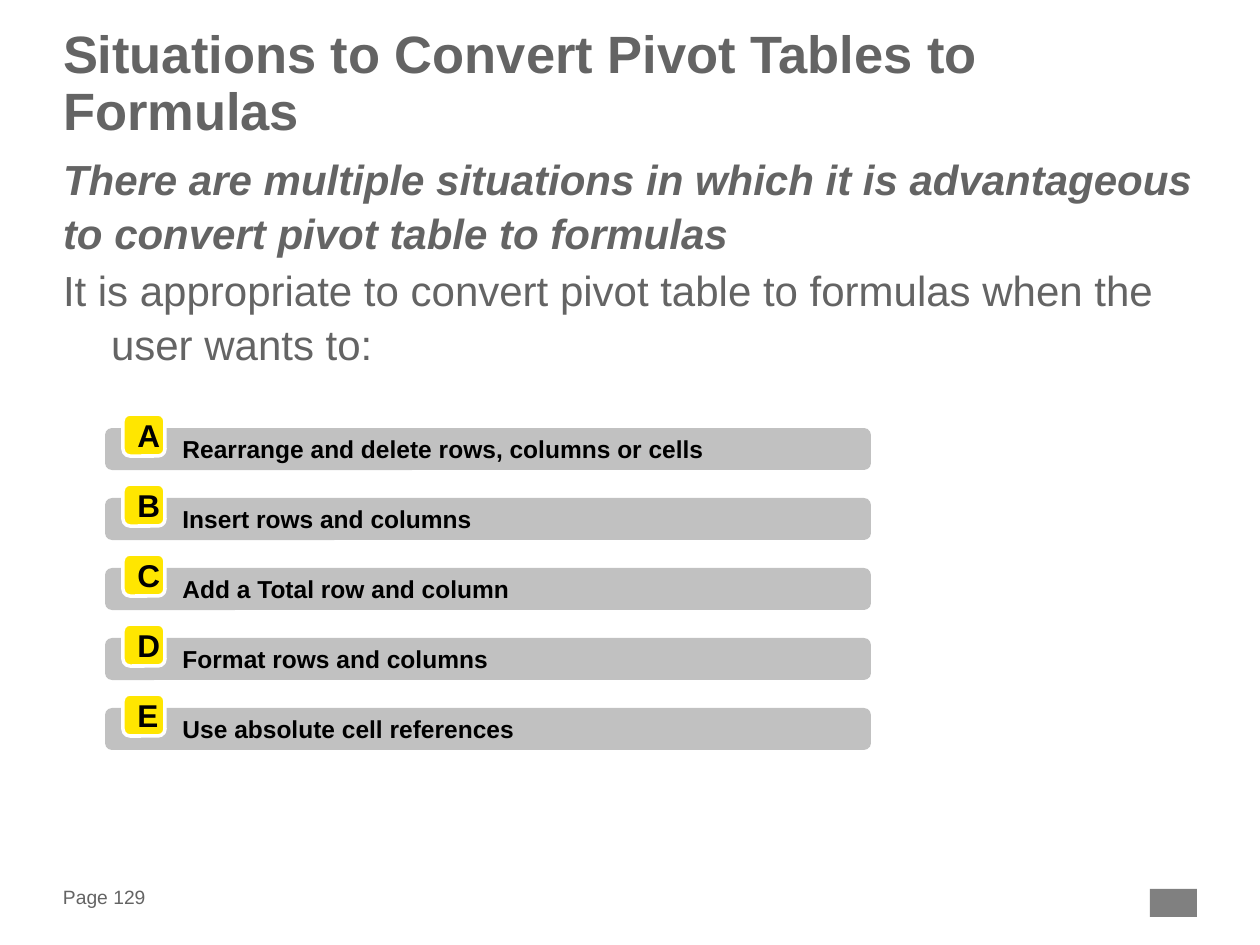
import pptx
import pptx.util
import pptx.dml.color
import pptx.enum.shapes
import pptx.enum.text
import pptx.oxml.ns
import lxml.etree

PX = 914400 // 126
GREY, BLACK, WHITE = "646464", "000000", "FFFFFF"
BAR_FILL, BADGE_FILL, MARK_FILL = "C1C1C1", "FFE600", "808080"

TITLE = "Situations to Convert Pivot Tables to Formulas"
SUBTITLE = ("There are multiple situations in which it is advantageous "
            "to convert pivot table to formulas")
INTRO = "It is appropriate to convert pivot table to formulas when the user wants to:"
PAGE = "Page 129"
SITUATIONS = [
    ("A", "Rearrange and delete rows, columns or cells"),
    ("B", "Insert rows and columns"),
    ("C", "Add a Total row and column"),
    ("D", "Format rows and columns"),
    ("E", "Use absolute cell references"),
]

LEFT, WIDTH = 63, 1134
BAR_LEFT, BAR_TOP, BAR_WIDTH, BAR_HEIGHT, PITCH = 105, 428, 766, 42, 70
BADGE_LEFT, BADGE_RISE = 123, 14
TEXT_INDENT, HANGING = 63, 48

ANCHOR = pptx.enum.text.MSO_ANCHOR
ALIGN = pptx.enum.text.PP_ALIGN


def px(*lengths):
    return [pptx.util.Emu(n * PX) for n in lengths]


def rgb(value):
    return pptx.dml.color.RGBColor.from_string(value)


def write(s, text, size, color, bold=False, italic=False,
          anchor=ANCHOR.TOP, align=ALIGN.LEFT, spacing=None):
    tf = s.text_frame
    tf.text = text
    tf.word_wrap = True
    tf.auto_size = pptx.enum.text.MSO_AUTO_SIZE.NONE
    tf.vertical_anchor = anchor
    p = tf.paragraphs[0]
    p.alignment = align
    p.space_before = pptx.util.Pt(0)
    p.line_spacing = spacing
    font = p.runs[0].font
    font.name, font.size = "Arial", pptx.util.Pt(size)
    font.bold, font.italic = bold, italic
    font.color.rgb = rgb(color)
    return p


def remove_insets(s):
    tf = s.text_frame
    tf.margin_left = tf.margin_top = tf.margin_right = tf.margin_bottom = 0


def place(s, *box):
    s.left, s.top, s.width, s.height = px(*box)
    remove_insets(s)


def indent(p, left, first=0, plain=False):
    """Set the paragraph's indents; plain also takes its bullet away."""
    pPr = p._p.get_or_add_pPr()
    pPr.set("marL", str(left * PX))
    pPr.set("indent", str(first * PX))
    if plain:
        lxml.etree.SubElement(pPr, pptx.oxml.ns.qn("a:buNone"))


def add_block(shapes, kind, box, fill, line=None):
    s = shapes.add_shape(kind, *px(*box))
    s.shadow.inherit = False
    s.fill.solid()
    s.fill.fore_color.rgb = rgb(fill)
    if line:
        s.line.color.rgb = rgb(line)
        s.line.width = pptx.util.Pt(2)
    else:
        s.line.fill.background()
    return s


def main():
    prs = pptx.Presentation()
    prs.slide_width, prs.slide_height = px(1260, 945)
    slide = prs.slides.add_slide(prs.slide_layouts[3])
    shapes = slide.shapes
    title, subtitle, intro = slide.placeholders

    place(title, LEFT, 28, WIDTH, 118)
    write(title, TITLE, 30, GREY, bold=True, spacing=0.9)
    place(subtitle, LEFT, 151, WIDTH, 73)
    p = write(subtitle, SUBTITLE, 24, GREY, bold=True, italic=True, spacing=1.06)
    indent(p, 0, plain=True)
    place(intro, LEFT, 262, WIDTH, 648)
    p = write(intro, INTRO, 24, GREY, spacing=1.06)
    indent(p, HANGING, -HANGING, plain=True)

    rounded = pptx.enum.shapes.MSO_SHAPE.ROUNDED_RECTANGLE
    for i, (letter, situation) in enumerate(SITUATIONS):
        top = BAR_TOP + i * PITCH
        bar = add_block(shapes, rounded, (BAR_LEFT, top, BAR_WIDTH, BAR_HEIGHT), BAR_FILL)
        p = write(bar, situation, 14, BLACK, bold=True, anchor=ANCHOR.MIDDLE)
        indent(p, TEXT_INDENT)
        badge = add_block(shapes, rounded,
                          (BADGE_LEFT, top - BADGE_RISE, BAR_HEIGHT, BAR_HEIGHT),
                          BADGE_FILL, WHITE)
        write(badge, letter, 18, BLACK, bold=True, anchor=ANCHOR.MIDDLE,
              align=ALIGN.CENTER)

    page = shapes.add_textbox(*px(LEFT, 883, 100, 28))
    remove_insets(page)
    write(page, PAGE, 11, GREY, anchor=ANCHOR.MIDDLE)
    add_block(shapes, pptx.enum.shapes.MSO_SHAPE.RECTANGLE,
              (1150, 889, 47, 28), MARK_FILL)

    prs.save("out.pptx")


if __name__ == "__main__":
    main()
